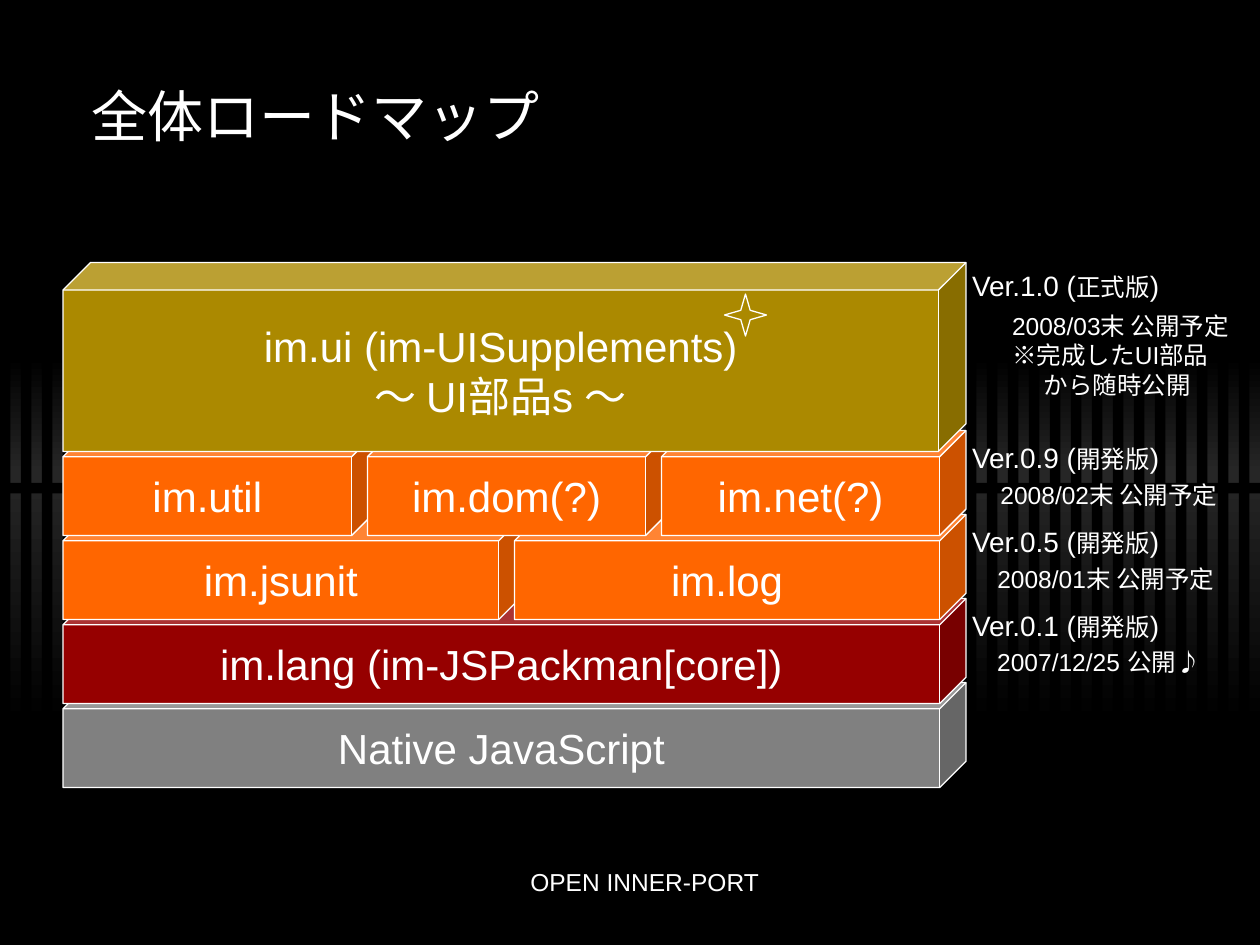
from pptx import Presentation, util as u
from pptx.dml.color import RGBColor
from pptx.enum import shapes, text

BLACK = RGBColor(0x00, 0x00, 0x00)
CHARCOAL = RGBColor(0x26, 0x26, 0x26)
WHITE = RGBColor(0xFF, 0xFF, 0xFF)
GRAY = RGBColor(0x80, 0x80, 0x80)
RED = RGBColor(0x96, 0x00, 0x00)
ORANGE = RGBColor(0xFF, 0x66, 0x00)
GOLD = RGBColor(0xAB, 0x89, 0x00)

FONT = "Arial"
COLS, ROWS = 120, 90        # the slide grid, twelve cells to the inch
CELL = u.Inches(10) / COLS
SIDE_OVERLAP, LAYER_OVERLAP = 1, 2

# Layers from top to bottom: rows, colour, blocks as (columns, lines)
LAYERS = [
    (18, GOLD, [(86, ["im.ui (im-UISupplements)", "〜 UI部品s 〜"])]),
    (10, ORANGE, [(30, ["im.util"]), (29, ["im.dom(?)"]), (29, ["im.net(?)"])]),
    (10, ORANGE, [(44, ["im.jsunit"]), (43, ["im.log"])]),
    (10, RED, [(86, ["im.lang (im-JSPackman[core])"])]),
    (10, GRAY, [(86, ["Native JavaScript"])]),
]

# Releases: row, version, stage, left and top shift of the date, columns, date lines
RELEASES = [
    (25, "1.0", "正式版", 3.8, 4, 23.6, ["2008/03末 公開予定", "※完成したUI部品", "から随時公開"]),
    (41.4, "0.9", "開発版", 2.7, 3.7, 23.6, ["2008/02末 公開予定"]),
    (49.4, "0.5", "開発版", 2.4, 3.7, 23.6, ["2008/01末 公開予定"]),
    (57.4, "0.1", "開発版", 2.4, 3.6, 22.3, ["2007/12/25 公開♪"]),
]


def cells(*counts):
    return [round(count * CELL) for count in counts]


def add_plain(slide, kind, box, fill):
    """Adds a preset shape without shadow or outline."""
    part = slide.shapes.add_shape(kind, *cells(*box))
    part.shadow.inherit = False
    part.fill.solid()
    part.fill.fore_color.rgb = fill
    part.line.fill.background()
    return part


def outline(part):
    part.line.color.rgb = WHITE
    part.line.width = u.Pt(0.75)


def style(font, size):
    font.name, font.size, font.color.rgb = FONT, u.Pt(size), WHITE


def write(frame, lines, size, align=text.PP_ALIGN.LEFT):
    for i, line in enumerate(lines):
        paragraph = frame.paragraphs[0] if i == 0 else frame.add_paragraph()
        paragraph.text = line
        paragraph.alignment = align
        style(paragraph.font, size)


def add_label(slide, box, wrap=False):
    frame = slide.shapes.add_textbox(*cells(*box)).text_frame
    frame.word_wrap = wrap
    if not wrap:
        frame.auto_size = text.MSO_AUTO_SIZE.SHAPE_TO_FIT_TEXT
    return frame


def draw_backdrop(slide, top, horizon, bottom):
    """Two glowing bands cut by black stripes and a horizon bar."""
    rect = shapes.MSO_SHAPE.RECTANGLE
    bands = [(top, horizon, BLACK, CHARCOAL), (horizon, bottom, CHARCOAL, BLACK)]
    for start, end, upper, lower in bands:
        band = add_plain(slide, rect, (0, start, COLS, end - start), BLACK)
        band.fill.gradient()
        band.fill.gradient_angle = 270
        for stop, colour in zip(band.fill.gradient_stops, (upper, lower)):
            stop.color.rgb = colour
    for column in range(0, COLS, 2):
        add_plain(slide, rect, (column, top - 4, 1, bottom - top + 12), BLACK)
    add_plain(slide, rect, (0, horizon + 1, COLS, 1), BLACK)


def draw_stack(slide, left, top):
    """Layered cubes, drawn from the bottom layer upwards."""
    placed = []
    for height, colour, blocks in LAYERS:
        placed.append((top, height, colour, blocks))
        top += height - LAYER_OVERLAP
    for layer_top, height, colour, blocks in reversed(placed):
        column = left
        for width, lines in blocks:
            cube = add_plain(slide, shapes.MSO_SHAPE.CUBE,
                             (column, layer_top, width, height), colour)
            # Depth is the same for every layer, whatever its height
            cube.adjustments[0] = 0.25 if height == 10 else 0.146
            outline(cube)
            frame = cube.text_frame
            frame.word_wrap = False
            frame.vertical_anchor = text.MSO_ANCHOR.MIDDLE
            write(frame, lines, 24, text.PP_ALIGN.CENTER)
            column += width - SIDE_OVERLAP


def draw_releases(slide, left):
    """Version and publication date beside each layer."""
    for row, version, stage, shift, drop, width, dates in RELEASES:
        heading = add_label(slide, (left, row, 21.7, 4.4)).paragraphs[0]
        for words, size in ((f"Ver.{version} (", 16), (stage, 14), (")", 16)):
            run = heading.add_run()
            run.text = words
            style(run.font, size)
        date = add_label(slide, (left + shift, row + drop, width, 1.3 + 2.8 * len(dates)))
        write(date, dates, 14)
        if len(dates) > 2:
            # The last line continues the remark above it
            indent = str(u.Inches(0.25))
            date.paragraphs[-1]._p.get_or_add_pPr().set("marL", indent)


def draw_sparkle(slide, left, top, size):
    """Four-pointed star."""
    half = size / 2
    near, far = half - 0.45, half + 0.45
    points = [(0, half), (near, near), (half, 0), (far, near),
              (size, half), (far, far), (half, size), (near, far)]
    corners = [tuple(cells(left + x, top + y)) for x, y in points]
    builder = slide.shapes.build_freeform(*corners[0])
    builder.add_line_segments(corners[1:], close=True)
    star = builder.convert_to_shape()
    star.shadow.inherit = False
    star.fill.solid()
    star.fill.fore_color.rgb = GOLD
    outline(star)


def draw_title(slide, box):
    frame = add_label(slide, box, wrap=True)
    frame.vertical_anchor = text.MSO_ANCHOR.MIDDLE
    write(frame, ["全体ロードマップ"], 32)


def draw_footer(slide, box):
    write(add_label(slide, box, wrap=True), ["OPEN INNER-PORT"], 14, text.PP_ALIGN.CENTER)


def main():
    deck = Presentation()
    deck.slide_width, deck.slide_height = cells(COLS, ROWS)
    slide = deck.slides.add_slide(deck.slide_layouts[6])
    slide.background.fill.solid()
    slide.background.fill.fore_color.rgb = BLACK

    draw_backdrop(slide, top=34, horizon=45, bottom=69)
    draw_title(slide, (7.5, 5, 105, 12))
    draw_stack(slide, left=6, top=25)
    draw_releases(slide, left=91.4)
    draw_sparkle(slide, left=69, top=28, size=4)
    draw_footer(slide, (27, 82, 68.8, 6))
    deck.save("out.pptx")


if __name__ == "__main__":
    main()
